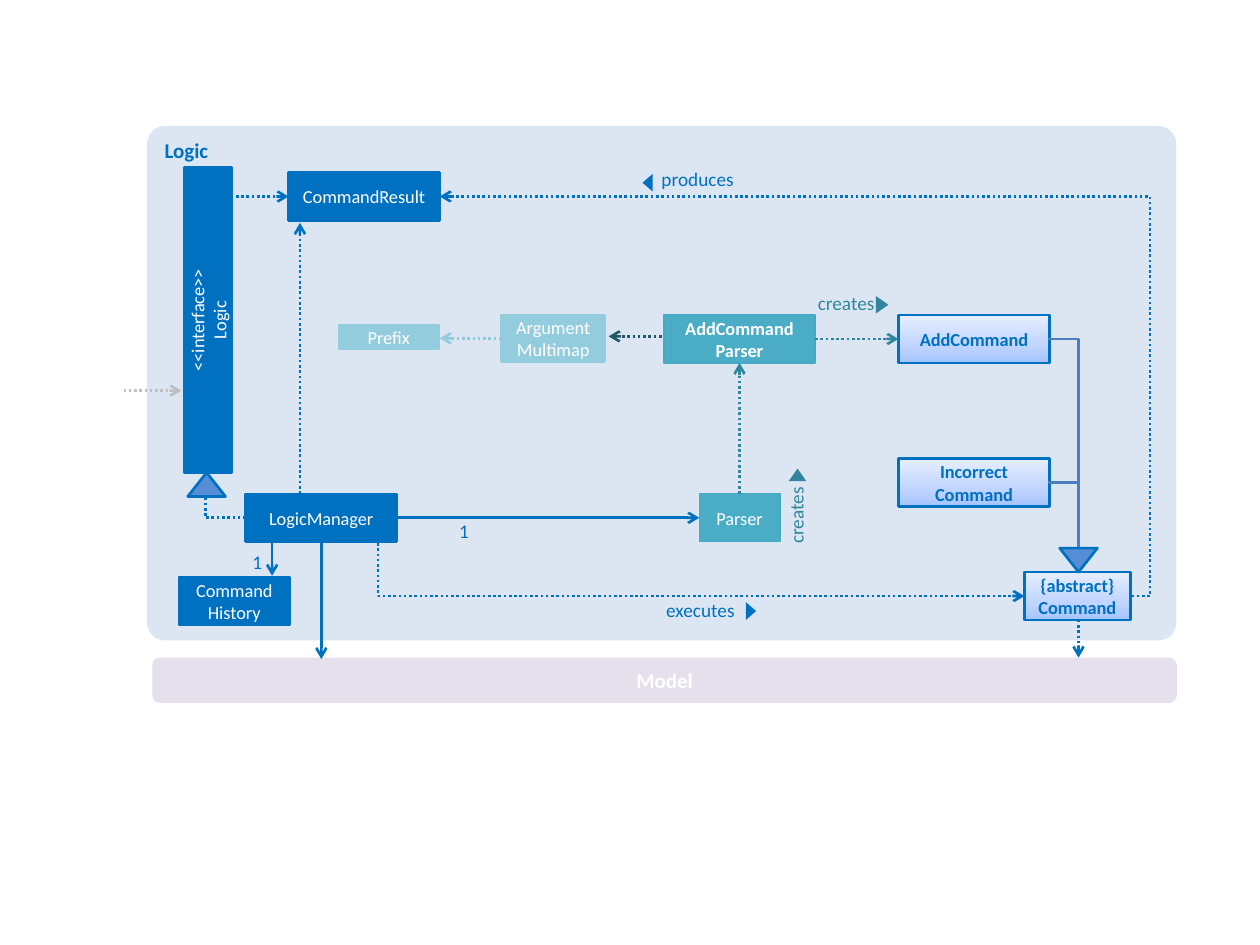
from copy import deepcopy

from lxml.etree import SubElement
from pptx import Presentation
from pptx.dml.color import RGBColor
from pptx.enum.dml import MSO_LINE
from pptx.enum.shapes import MSO_CONNECTOR, MSO_SHAPE
from pptx.enum.text import MSO_ANCHOR, PP_ALIGN
from pptx.oxml.ns import qn
from pptx.util import Pt

BLUE = RGBColor(0x00, 0x70, 0xC0)
MID = RGBColor(0x55, 0x8E, 0xD5)
STEEL = RGBColor(0x4B, 0x7E, 0xBC)
PALE = RGBColor(0xDC, 0xE6, 0xF2)
AQUA = RGBColor(0x4B, 0xAC, 0xC6)
EDGE = RGBColor(0x46, 0xAA, 0xC5)
LIGHT = RGBColor(0x93, 0xCD, 0xDD)
TEAL = RGBColor(0x31, 0x85, 0x9C)
DARK = RGBColor(0x21, 0x59, 0x68)
GREY = RGBColor(0xBF, 0xBF, 0xBF)
LILAC = RGBColor(0xE6, 0xE0, 0xEC)
WHITE = RGBColor(0xFF, 0xFF, 0xFF)
STOPS = [(0, RGBColor(0xA4, 0xC4, 0xFF)), (0.35, RGBColor(0xBF, 0xD4, 0xFF)),
         (1, RGBColor(0xE6, 0xEE, 0xFF))]
WIDE, HIGH = 86.4, 27.4  # usual class box


def write(shape, text, size=10.5, color=WHITE, bold=False,
          align=PP_ALIGN.CENTER, anchor=MSO_ANCHOR.MIDDLE, inset=None):
    """A newline starts a paragraph, a vertical tab breaks the line."""
    frame = shape.text_frame
    frame.word_wrap = True
    frame.vertical_anchor = anchor
    if inset is not None:
        frame.margin_left = frame.margin_right = Pt(inset)
        frame.margin_top = frame.margin_bottom = Pt(inset)
    frame.text = text
    for para in frame.paragraphs:
        para.alignment = align
        for run in para.runs:
            font = run.font
            font.name, font.size, font.bold = "Calibri", Pt(size), bold
            font.color.rgb = color
        # Line breaks take the size of the text around them
        for br in para._p.findall(qn("a:br")):
            br.append(deepcopy(para.runs[0]._r.find(qn("a:rPr"))))


def shade(shape):
    fill = shape.fill
    fill.gradient()
    fill.gradient_angle = 90
    first = fill._xPr.find(qn("a:gradFill")).find(qn("a:gsLst"))[0]
    first.addnext(deepcopy(first))
    for stop, (place, color) in zip(fill.gradient_stops, STOPS):
        stop.position = place
        stop.color.rgb = color


def draw(slide, kind, box, fill=None, edge=None, width=1.5, turn=0):
    shape = slide.shapes.add_shape(kind, *map(Pt, box))
    shape.shadow.inherit = False
    shape.rotation = turn
    if fill is None:
        shade(shape)
    else:
        shape.fill.solid()
        shape.fill.fore_color.rgb = fill
    if edge is None:
        shape.line.fill.background()
    else:
        shape.line.color.rgb = edge
        shape.line.width = Pt(width)
    return shape


def link(slide, start, end, color=BLUE, dots=True, arrow=True, bend=None):
    kind = MSO_CONNECTOR.STRAIGHT if bend is None else MSO_CONNECTOR.ELBOW
    line = slide.shapes.add_connector(kind, *map(Pt, (*start, *end)))
    line.line.color.rgb = color
    line.line.width = Pt(1.5)
    if dots:
        line.line.dash_style = MSO_LINE.ROUND_DOT
    props = line._element.spPr
    if arrow:
        SubElement(props.find(qn("a:ln")), qn("a:tailEnd"), type="arrow")
    SubElement(props, qn("a:effectLst"))
    if bend is not None:
        line_geom = props.find(qn("a:prstGeom"))
        guides = line_geom.get_or_add_avLst()
        SubElement(guides, qn("a:gd"), name="adj1", fmla=f"val {round(bend * 100000)}")


def panel(slide, box):
    left, top, *_ = box

    def at(x, y):
        return left + x, top + y

    back = draw(slide, MSO_SHAPE.ROUNDED_RECTANGLE, box, PALE)
    back.adjustments[0] = 0.035
    write(back, "Logic", size=12, color=BLUE, bold=True,
          align=PP_ALIGN.LEFT, anchor=MSO_ANCHOR.TOP)

    # Class boxes: text, x, y, width, height, fill, edge, edge width, turn
    solid, aqua, light = (BLUE, BLUE), (AQUA, EDGE, 0.75), (LIGHT, LIGHT)
    for text, x, y, w, h, look, ink, bold, turn in (
        ("CommandResult", 80.9, 26.6, WIDE, HIGH, solid, WHITE, False, 0),
        ("LogicManager", 56.4, 210.2, WIDE, HIGH, solid, WHITE, False, 0),
        ("Command\nHistory", 18.2, 257.8, 63.4, HIGH, solid, WHITE, False, 0),
        ("<<interface>>\nLogic", -52.3, 97.2, 174.2, HIGH, solid, WHITE, False, 270),
        ("AddCommand", 429.4, 108, WIDE, HIGH, (None, BLUE), BLUE, True, 0),
        ("Incorrect\vCommand", 429.4, 190.1, WIDE, HIGH, (None, BLUE), BLUE, True, 0),
        ("{abstract}\vCommand", 501.4, 254.9, 60.5, HIGH, (None, BLUE), BLUE, True, 0),
        ("Parser", 315.6, 210.2, 46.1, HIGH, aqua, WHITE, False, 0),
        ("AddCommand\nParser", 295.4, 108, WIDE, HIGH, aqua, WHITE, True, 0),
        ("Prefix", 109.7, 113.8, 56.9, 13.7, light, WHITE, False, 0),
        ("Argument\vMultimap", 202.6, 108, 59, 26.6, light, WHITE, False, 0),
    ):
        shape = draw(slide, MSO_SHAPE.RECTANGLE, (*at(x, y), w, h), *look, turn=turn)
        write(shape, text, color=ink, bold=bold)

    # Links between classes
    for x1, y1, x2, y2, form in (
        (562.6, 268.6, 167.3, 40.3, dict(bend=-0.027)),
        (47.8, 40.3, 80.9, 40.3, {}),
        (142.8, 223.9, 315.6, 223.9, dict(dots=False)),
        (532.3, 282.2, 532.3, 303.8, {}),
        (56.4, 223.9, 33.4, 211.7, dict(bend=1, arrow=False)),
        (99.6, 237.6, 99.6, 304.6, dict(dots=False)),
        (-13.4, 151.2, 19.7, 151.2, dict(color=GREY)),
        (132, 238.3, 501.4, 268.6, dict(bend=0)),
        (87.4, 210.2, 87.4, 55.4, {}),
        (515, 121.7, 532.3, 241.2, dict(color=STEEL, dots=False, arrow=False, bend=1)),
        (515, 203.8, 532.3, 241.2, dict(color=STEEL, dots=False, arrow=False, bend=1)),
        (338.6, 210.2, 338.6, 135.4, dict(color=TEAL)),
        (381.8, 121.7, 429.4, 121.7, dict(color=TEAL)),
        (202.6, 121.3, 167.3, 121.3, dict(color=LIGHT)),
        (294, 120.2, 263.8, 120.2, dict(color=DARK)),
        (71.5, 238.3, 71.5, 257, dict(dots=False)),
    ):
        link(slide, at(x1, y1), at(x2, y2), **form)

    # Inheritance heads
    for x, y, turn in ((23.3, 198, 0), (521.5, 241.2, 180)):
        draw(slide, MSO_SHAPE.ISOSCELES_TRIANGLE, (*at(x, y), 21.6, 13.7),
             MID, BLUE, turn=turn)

    # Link labels
    for text, x, y, w, h, color, align, turn in (
        ("executes", 278.2, 270, 57.6, 18, BLUE, PP_ALIGN.RIGHT, 0),
        ("produces", 294, 23.8, 57.6, 18, BLUE, PP_ALIGN.LEFT, 0),
        ("creates", 383.3, 94.3, 43.9, 20.2, TEAL, PP_ALIGN.LEFT, 0),
        ("creates", 352.3, 206.6, 43.9, 20.2, TEAL, PP_ALIGN.LEFT, 270),
        ("1", 173.8, 224.6, 10.1, 18, BLUE, PP_ALIGN.RIGHT, 0),
        ("1", 55.7, 242.6, 10.1, 18, BLUE, PP_ALIGN.RIGHT, 0),
    ):
        label = slide.shapes.add_textbox(*map(Pt, (*at(x, y), w, h)))
        label.rotation = turn
        write(label, text, size=11, color=color, align=align,
              anchor=MSO_ANCHOR.TOP, inset=0)

    # Reading direction marks
    for x, y, h, color, turn in (
        (340.1, 274.3, 5.8, BLUE, 90),
        (281, 29.5, 5.8, BLUE, 270),
        (415, 98.6, 7.2, TEAL, 90),
        (366.7, 195.8, 7.2, TEAL, 0),
    ):
        draw(slide, MSO_SHAPE.ISOSCELES_TRIANGLE, (*at(x, y), 10.1, h),
             color, turn=turn)


def model(slide, box):
    bar = draw(slide, MSO_SHAPE.ROUNDED_RECTANGLE, box, LILAC)
    write(bar, "Model", size=12, bold=True)


def main():
    deck = Presentation()
    deck.slide_width, deck.slide_height = Pt(720), Pt(540)
    slide = deck.slides.add_slide(deck.slide_layouts[6])
    model(slide, (87.1, 375.8, 585.4, 25.9))
    panel(slide, (84, 72, 588.2, 294))
    deck.save("out.pptx")


if __name__ == "__main__":
    main()
